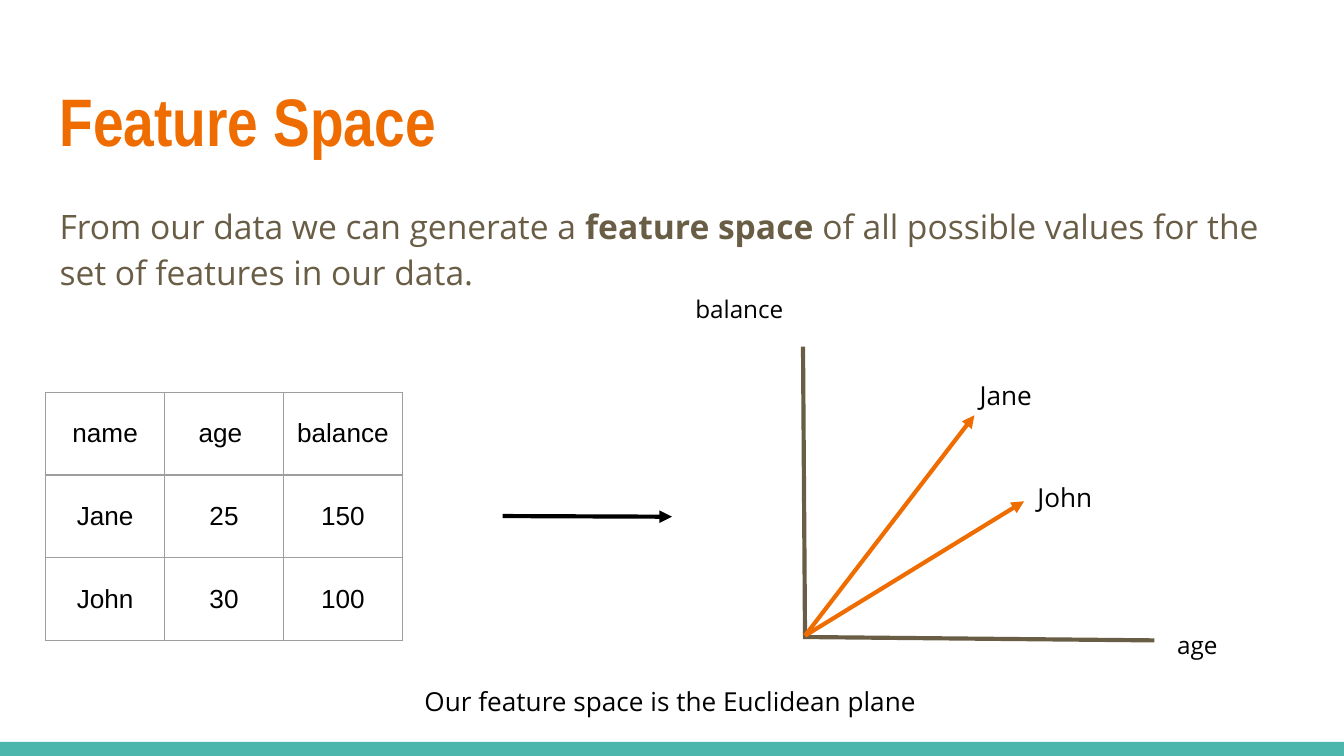
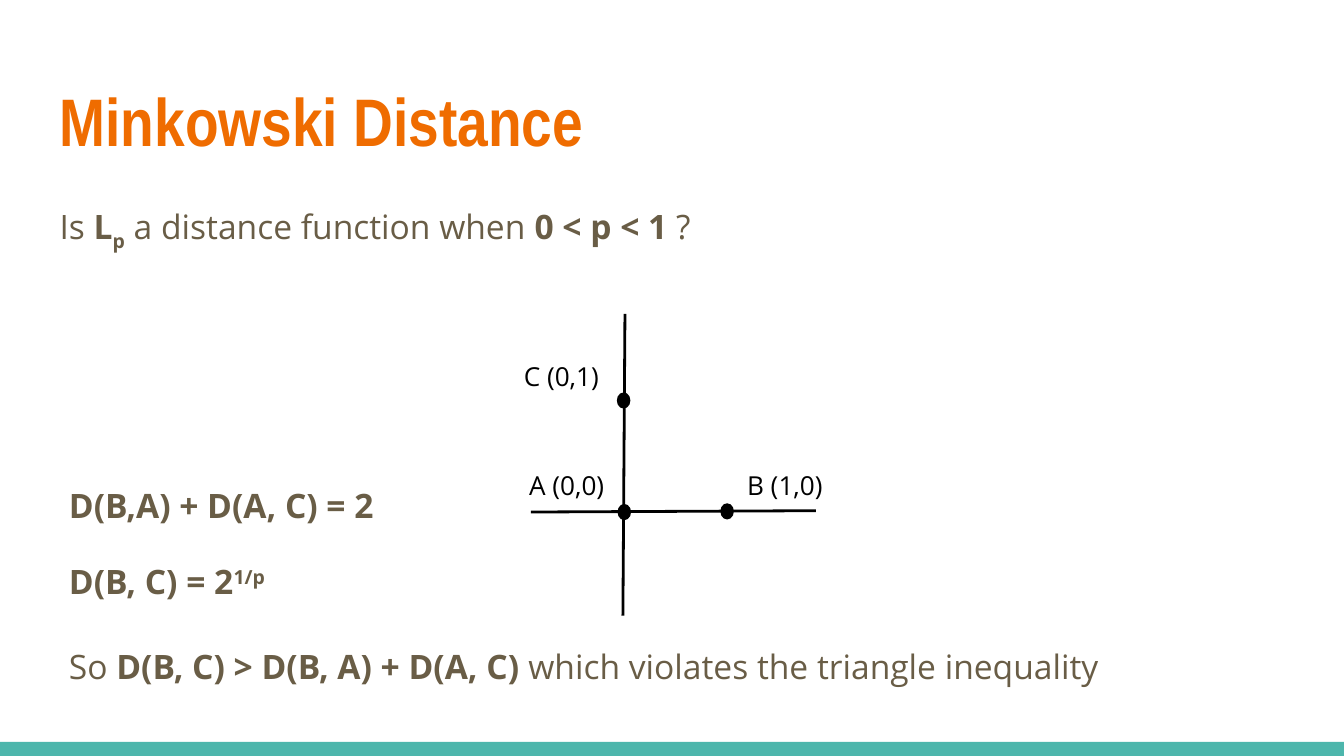
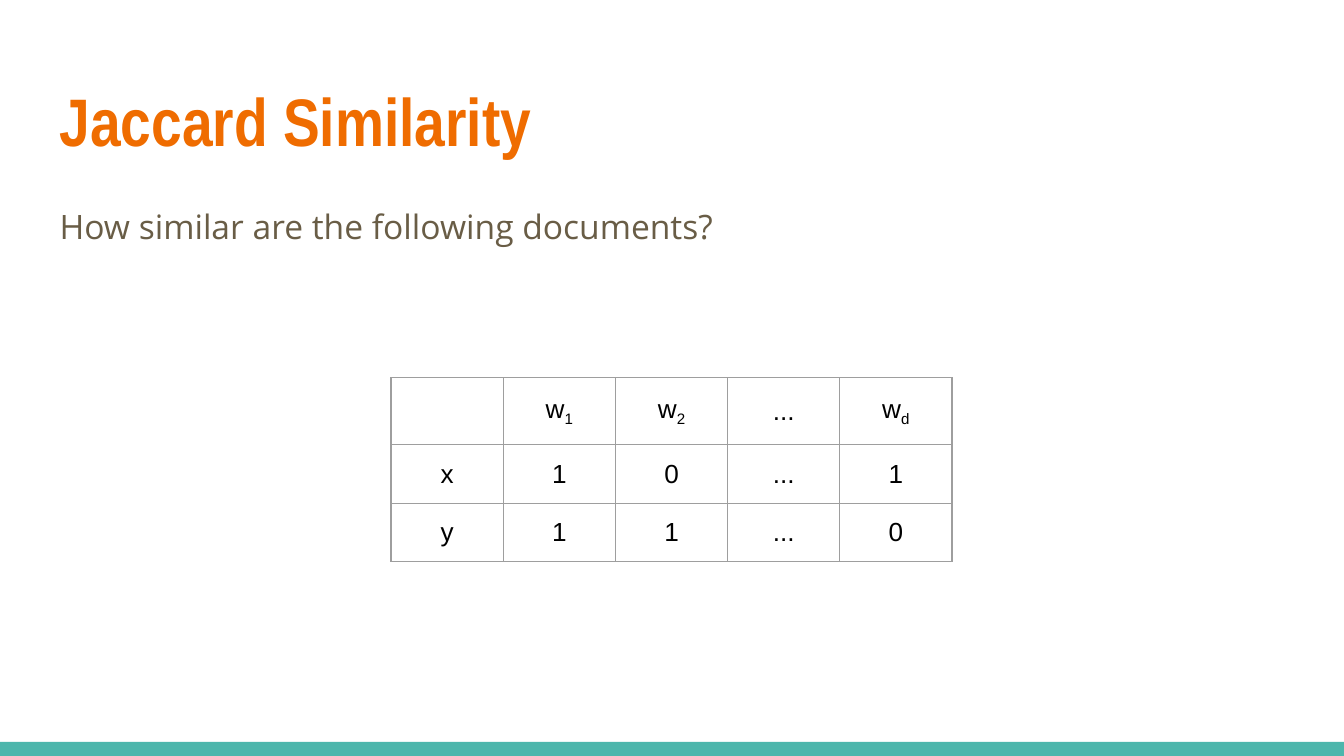
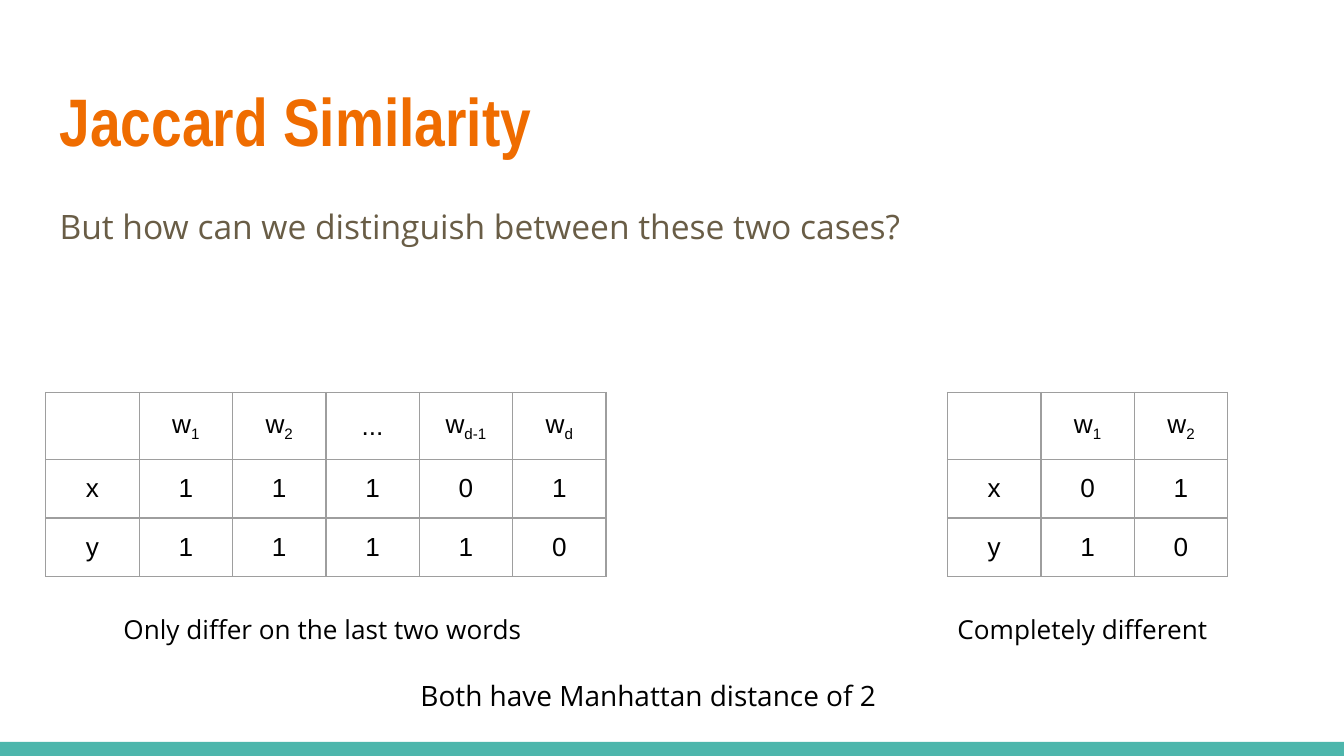
"""Build four slides on feature spaces, Minkowski distance and Jaccard similarity."""
import lxml.etree
import pptx
import pptx.dml.color
import pptx.enum.shapes
import pptx.enum.text
import pptx.oxml.ns
import pptx.util

PX = 4572
INSET = 20 * PX
TABLE_FRAME = 656 * PX
ORANGE, BROWN, TEAL = "EF6C00", "695D46", "4DB6AC"
BLACK, WHITE, GREY = "000000", "FFFFFF", "9E9E9E"
HEADING_FONT, BODY_FONT, TABLE_FONT = "Arial Narrow", "Open Sans", "Arial"
LEFT, CENTER, RIGHT = (pptx.enum.text.PP_ALIGN.LEFT, pptx.enum.text.PP_ALIGN.CENTER,
                       pptx.enum.text.PP_ALIGN.RIGHT)
SHAPE = pptx.enum.shapes.MSO_SHAPE
BOLD, SUB, SUPER = "bold", "sub", "super"
BASELINES = {SUB: "-25000", SUPER: "30000"}
qn = pptx.oxml.ns.qn


def color(value):
    """Turn a hex string into a colour."""
    return pptx.dml.color.RGBColor.from_string(value)


def write(text_frame, paragraphs, size, font, ink, align=LEFT, bold=False):
    """Write paragraphs, each a list of (text, *styles) runs, and format them."""
    text_frame.word_wrap = True
    for index, runs in enumerate(paragraphs):
        paragraph = text_frame.add_paragraph() if index else text_frame.paragraphs[0]
        paragraph.alignment = align
        for text, *styles in runs:
            run = paragraph.add_run()
            run.text = text
            run.font.size = pptx.util.Pt(size)
            run.font.name = font
            run.font.bold = bold or BOLD in styles
            run.font.color.rgb = color(ink)
            for style in styles:
                if style in BASELINES:
                    run.font._element.set("baseline", BASELINES[style])


presentation = pptx.Presentation()
presentation.slide_width = 2000 * PX
presentation.slide_height = 1125 * PX

titles = ["Feature Space", "Minkowski Distance", "Jaccard Similarity", "Jaccard Similarity"]
for title in titles:
    slide = presentation.slides.add_slide(presentation.slide_layouts[6])
    band = slide.shapes.add_shape(SHAPE.RECTANGLE, 0, 1104 * PX, 2000 * PX, 21 * PX)
    band.shadow.inherit = False
    band.fill.solid()
    band.fill.fore_color.rgb = color(TEAL)
    band.line.fill.background()
    shape = slide.shapes.add_textbox(69 * PX, 98 * PX, 1864 * PX, 154 * PX)
    write(shape.text_frame, [[(title,)]], 36, HEADING_FONT, ORANGE, bold=True)
feature_space, minkowski, documents, two_cases = presentation.slides

bodies = [
    (feature_space, 69, 277, 1864, 186, [
        [("From our data we can generate a ",), ("feature space", BOLD),
         (" of all possible values for the set of features in our data.",)]]),
    (minkowski, 69, 277, 1864, 108, [
        [("Is ",), ("L", BOLD), ("p", BOLD, SUB), (" a distance function when ",),
         ("0 < p < 1", BOLD), (" ?",)]]),
    (minkowski, 83, 693, 606, 238, [
        [("D(B,A) + D(A, C) = 2", BOLD)],
        [("D(B, C) = 2", BOLD), ("1/p", BOLD, SUPER)]]),
    (minkowski, 83, 933, 1728, 108, [
        [("So",), (" D(B, C) > D(B, A) + D(A, C) ", BOLD),
         ("which violates the triangle inequality",)]]),
    (documents, 69, 277, 1864, 108, [[("How similar are the following documents?",)]]),
    (two_cases, 69, 277, 1864, 108,
     [[("But how can we distinguish between these two cases?",)]]),
]
for slide, left, top, width, height, paragraphs in bodies:
    shape = slide.shapes.add_textbox(left * PX, top * PX, width * PX, height * PX)
    write(shape.text_frame, paragraphs, 18, BODY_FONT, BROWN)
    for index, paragraph in enumerate(shape.text_frame.paragraphs):
        paragraph.line_spacing = 1.15
        paragraph.space_before = pptx.util.Pt(16 if index else 0)
    paragraph.space_after = pptx.util.Pt(16)

tables = [
    (feature_space, 68, 584, 177, 123,
     [["name", "age ", "balance"], ["Jane", "25", "150"], ["John", "30", "100"]]),
    (documents, 582, 562, 167, 83,
     [["", "w_1", "w_2", "...", "w_d"], ["x", "1", "0", "...", "1"], ["y", "1", "1", "...", "0"]]),
    (two_cases, 68, 584, 139, 83,
     [["", "w_1", "w_2", "...", "w_d-1", "w_d"], ["x", "1", "1", "1", "0", "1"],
      ["y", "1", "1", "1", "1", "0"]]),
    (two_cases, 1410, 584, 139, 83,
     [["", "w_1", "w_2"], ["x", "0", "1"], ["y", "1", "0"]]),
]
for slide, left, top, column_width, row_height, rows in tables:
    frame = slide.shapes.add_table(
        len(rows), len(rows[0]), left * PX, top * PX, TABLE_FRAME, TABLE_FRAME)
    table = frame.table
    table.first_row = table.horz_banding = False
    for column in table.columns:
        column.width = column_width * PX
    for row, texts in zip(table.rows, rows):
        row.height = row_height * PX
        for cell, text in zip(row.cells, texts):
            cell.margin_left = cell.margin_right = INSET
            cell.margin_top = cell.margin_bottom = INSET
            cell.vertical_anchor = pptx.enum.text.MSO_ANCHOR.MIDDLE
            properties = cell._tc.get_or_add_tcPr()
            for side in ("a:lnL", "a:lnR", "a:lnT", "a:lnB"):
                border = lxml.etree.SubElement(properties, qn(side), w="9525")
                fill = lxml.etree.SubElement(border, qn("a:solidFill"))
                lxml.etree.SubElement(fill, qn("a:srgbClr"), val=GREY)
            cell.fill.background()
            if text:
                base, _, subscript = text.partition("_")
                runs = [(base,), (subscript, SUB)] if subscript else [(base,)]
                write(cell.text_frame, [runs], 14, TABLE_FONT, BLACK, CENTER)
            else:
                paragraph = cell.text_frame.paragraphs[0]
                ending = lxml.etree.SubElement(paragraph._p, qn("a:endParaRPr"), sz="1800")
                lxml.etree.SubElement(ending, qn("a:latin"), typeface=TABLE_FONT)
    frame.width = frame.height = TABLE_FRAME

lines = [
    (feature_space, 1195, 516, 1198, 948, BROWN, 2.25, False),
    (feature_space, 1195, 948, 1718, 953, BROWN, 2.25, False),
    (feature_space, 748, 768, 1000, 769, BLACK, 2.25, True),
    (feature_space, 1198, 946, 1524, 746, ORANGE, 2.25, True),
    (feature_space, 1198, 946, 1450, 618, ORANGE, 2.25, True),
    (minkowski, 930, 467, 927, 916, BLACK, 1.5, False),
    (minkowski, 790, 762, 1214, 760, BLACK, 1.5, False),
]
for slide, x1, y1, x2, y2, ink, weight, arrow in lines:
    connector = slide.shapes.add_connector(
        pptx.enum.shapes.MSO_CONNECTOR.STRAIGHT, x1 * PX, y1 * PX, x2 * PX, y2 * PX)
    connector.line.color.rgb = color(ink)
    connector.line.width = pptx.util.Pt(weight)
    if arrow:
        lxml.etree.SubElement(connector.line._get_or_add_ln(), qn("a:tailEnd"), type="triangle")
    lxml.etree.SubElement(connector._element.spPr, qn("a:effectLst"))

for left, top in [(920, 751), (1073, 750), (919, 585)]:
    point = minkowski.shapes.add_shape(SHAPE.OVAL, left * PX, top * PX, 18 * PX, 22 * PX)
    point.shadow.inherit = False
    point.fill.solid()
    point.fill.fore_color.rgb = color(BLACK)
    point.line.color.rgb = color(BLACK)
    point.line.width = pptx.util.Pt(0.75)

axis_labels = [("balance", 1015, 418, 198, 86), ("age", 1732, 918, 158, 138)]
for text, left, top, width, height in axis_labels:
    axis_label = feature_space.shapes.add_shape(
        SHAPE.RECTANGLE, left * PX, top * PX, width * PX, height * PX)
    axis_label.shadow.inherit = False
    axis_label.fill.solid()
    axis_label.fill.fore_color.rgb = color(WHITE)
    axis_label.line.fill.background()
    axis_label.text_frame.vertical_anchor = pptx.enum.text.MSO_ANCHOR.TOP
    write(axis_label.text_frame, [[(text,)]], 13, BODY_FONT, BLACK)

labels = [
    (feature_space, "Jane", 1438, 545, 198, 70, 14, LEFT),
    (feature_space, "John", 1524, 696, 198, 70, 14, LEFT),
    (feature_space, "Our feature space is the Euclidean plane", 612, 1000, 778, 70, 14, LEFT),
    (minkowski, "B (1,0)", 1092, 679, 184, 62, 14, LEFT),
    (minkowski, "A (0,0)", 723, 679, 196, 62, 14, RIGHT),
    (minkowski, "C (0,1)", 715, 516, 196, 62, 14, RIGHT),
    (two_cases, "Only differ on the last two words", 164, 893, 646, 80, 14, LEFT),
    (two_cases, "Completely different", 1405, 893, 430, 80, 14, LEFT),
    (two_cases, "Both have Manhattan distance of 2", 606, 990, 790, 94, 15, LEFT),
]
for slide, text, left, top, width, height, size, align in labels:
    shape = slide.shapes.add_textbox(left * PX, top * PX, width * PX, height * PX)
    write(shape.text_frame, [[(text,)]], size, BODY_FONT, BLACK, align)

for slide in presentation.slides:
    for shape in slide.shapes:
        if shape.has_text_frame:
            shape.text_frame.margin_left = shape.text_frame.margin_right = INSET
            shape.text_frame.margin_top = shape.text_frame.margin_bottom = INSET

presentation.save("out.pptx")
